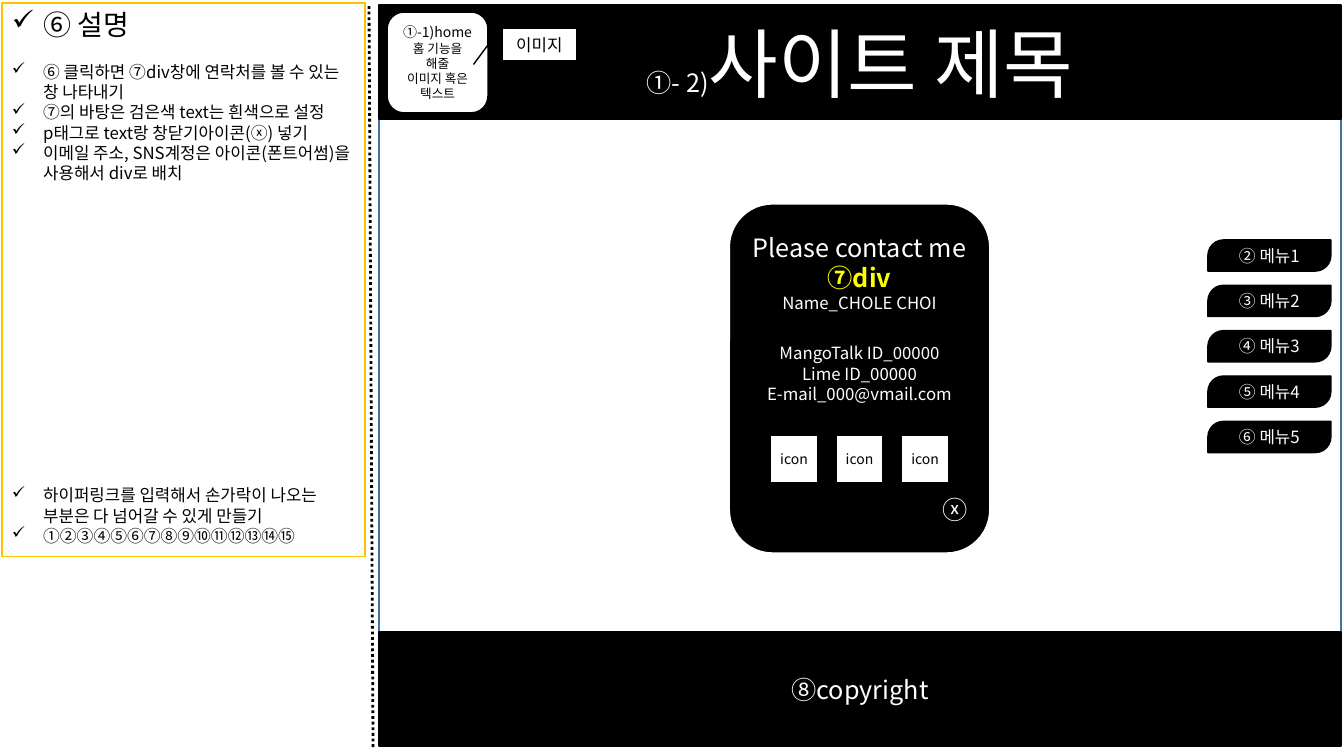
from lxml import etree
from pptx import Presentation
from pptx.dml.color import RGBColor
from pptx.enum.dml import MSO_LINE
from pptx.enum.shapes import MSO_CONNECTOR, MSO_SHAPE
from pptx.enum.text import MSO_ANCHOR, PP_ALIGN
from pptx.oxml.ns import qn
from pptx.util import Pt

EMU_PER_PX = 9144  # 100 px to the inch

BLACK = RGBColor(0x00, 0x00, 0x00)
WHITE = RGBColor(0xFF, 0xFF, 0xFF)
YELLOW = RGBColor(0xFF, 0xFF, 0x00)
GOLD = RGBColor(0xFF, 0xC0, 0x00)
BLUE = RGBColor(0x43, 0x73, 0x9E)

RECTANGLE = MSO_SHAPE.RECTANGLE
ROUNDED = MSO_SHAPE.ROUNDED_RECTANGLE
DIAGONAL = MSO_SHAPE.ROUND_2_DIAG_RECTANGLE
CALLOUT = MSO_SHAPE.LINE_CALLOUT_1
STRAIGHT = MSO_CONNECTOR.STRAIGHT
SYSTEM_DOT = MSO_LINE.ROUND_DOT
LEFT, CENTER, RIGHT = PP_ALIGN.LEFT, PP_ALIGN.CENTER, PP_ALIGN.RIGHT
TOP, MIDDLE = MSO_ANCHOR.TOP, MSO_ANCHOR.MIDDLE


def px(length):
    return length * EMU_PER_PX


class Wireframe:
    font = "Noto Sans CJK KR"
    line_factor = 1.2
    bullet_indent = 31

    def __init__(self, slide):
        self.slide = slide

    def box(self, kind, left, top, width, height, fill=BLACK, line=BLACK, weight=1):
        shape = self.slide.shapes.add_shape(kind, px(left), px(top), px(width), px(height))
        shape.shadow.inherit = False
        if fill is None:
            shape.fill.background()
        else:
            shape.fill.solid()
            shape.fill.fore_color.rgb = fill
        shape.line.color.rgb = line
        shape.line.width = Pt(weight)
        return shape

    def style(self, run, size, color, bold=False):
        run.font.name = self.font
        run.font.size = Pt(size)
        run.font.bold = bold
        run.font.color.rgb = color
        east_asian = etree.SubElement(run.font._element, qn("a:ea"))
        east_asian.set("typeface", self.font)

    def add_lines(self, shape, lines, color, align=CENTER, anchor=MIDDLE):
        """Fill the shape with (text, size, space before in points) lines."""
        text_frame = shape.text_frame
        text_frame.word_wrap = True
        text_frame.vertical_anchor = anchor
        text_frame.text = "\n".join(text for text, size, gap in lines)
        for paragraph, (text, size, gap) in zip(text_frame.paragraphs, lines):
            paragraph.alignment = align
            paragraph.line_spacing = Pt(size * self.line_factor)
            paragraph.space_before = Pt(gap)
            self.style(paragraph.runs[0], size, color)
        return text_frame.paragraphs

    def label(self, shape, text, size, color):
        return self.add_lines(shape, [(text, size, 0)], color)

    def bullet(self, paragraph):
        properties = paragraph._p.get_or_add_pPr()
        properties.set("marL", str(px(self.bullet_indent)))
        properties.set("indent", str(-px(self.bullet_indent)))
        etree.SubElement(properties, qn("a:buChar")).set("char", "✓")

    def dotted_line(self, start, end):
        connector = self.slide.shapes.add_connector(STRAIGHT, *map(px, start + end))
        connector.line.color.rgb = BLACK
        connector.line.width = Pt(2)
        connector.line.dash_style = SYSTEM_DOT
        etree.SubElement(connector._element.spPr, qn("a:effectLst"))


def main():
    presentation = Presentation()
    presentation.slide_width, presentation.slide_height = px(1333), px(750)
    slide = presentation.slides.add_slide(presentation.slide_layouts[6])
    page = Wireframe(slide)

    # Site body and header
    page.box(RECTANGLE, 376, 118, 954, 510, fill=None, line=BLUE)
    header = page.box(RECTANGLE, 376, 5, 954, 113)
    title = page.label(header, "①- 2)", 18, WHITE)[0]
    title.line_spacing = Pt(54 * page.line_factor)
    title_run = title.add_run()
    title_run.text = "사이트 제목"
    page.style(title_run, 54, WHITE)

    # Home button and its callout
    home = page.box(ROUNDED, 384, 12, 100, 100, fill=WHITE)
    home_lines = [("①-1)home", 10, 0), ("홈 기능을 해줄", 9, 0), ("이미지 혹은 텍스트", 9, 0)]
    page.add_lines(home, home_lines, BLACK)
    callout = page.box(CALLOUT, 498, 28, 74, 32, fill=WHITE)
    page.label(callout, "이미지", 12, BLACK)

    # Menu
    for index, number in enumerate("②③④⑤⑥"):
        menu = page.box(DIAGONAL, 1198, 238 + 45 * index, 122, 31)
        menu.adjustments[0] = 0.5
        menu.adjustments[1] = 0
        page.label(menu, f"{number} 메뉴{index + 1}", 12, WHITE)

    # Footer
    footer = page.box(RECTANGLE, 376, 627, 954, 113)
    page.label(footer, "⑧copyright", 18, WHITE)

    # Description panel
    panel = page.box(RECTANGLE, 2, 3, 360, 549, fill=WHITE, line=GOLD)
    notes = [
        ("⑥ 설명", 20, 0),
        ("⑥ 클릭하면 ⑦div창에 연락처를 볼 수 있는 창 나타내기", 12, 14.4),
        ("⑦의 바탕은 검은색 text는 흰색으로 설정", 12, 0),
        ("p태그로 text랑 창닫기아이콘(ⓧ) 넣기", 12, 0),
        ("이메일 주소, SNS계정은 아이콘(폰트어썸)을 사용해서 div로 배치", 12, 0),
        ("하이퍼링크를 입력해서 손가락이 나오는 부분은 다 넘어갈 수 있게 만들기", 12, 216),
        ("①②③④⑤⑥⑦⑧⑨⑩⑪⑫⑬⑭⑮", 12, 0),
    ]
    for paragraph in page.add_lines(panel, notes, BLACK, LEFT, TOP):
        page.bullet(paragraph)
    page.dotted_line((366, 6), (370, 743))

    # Contact card
    card = page.box(ROUNDED, 723, 202, 259, 347, line=WHITE, weight=1.5)
    contact = page.add_lines(card, [
        ("Please contact me", 18, 0),
        ("⑦div", 18, 0),
        ("Name_CHOLE CHOI", 12, 0),
        ("MangoTalk ID_00000", 12, 21.6),
        ("Lime ID_00000", 12, 0),
        ("E-mail_000@vmail.com", 12, 0),
        ("ⓧ", 18, 64.8),
    ], WHITE)
    highlight = contact[1].runs[0].font
    highlight.bold = True
    highlight.color.rgb = YELLOW
    contact[-1].alignment = RIGHT
    for index in range(3):
        icon = page.box(RECTANGLE, 764 + 65 * index, 432, 47, 47, fill=WHITE)
        page.label(icon, "icon", 10, BLACK)

    presentation.save("out.pptx")


if __name__ == "__main__":
    main()
